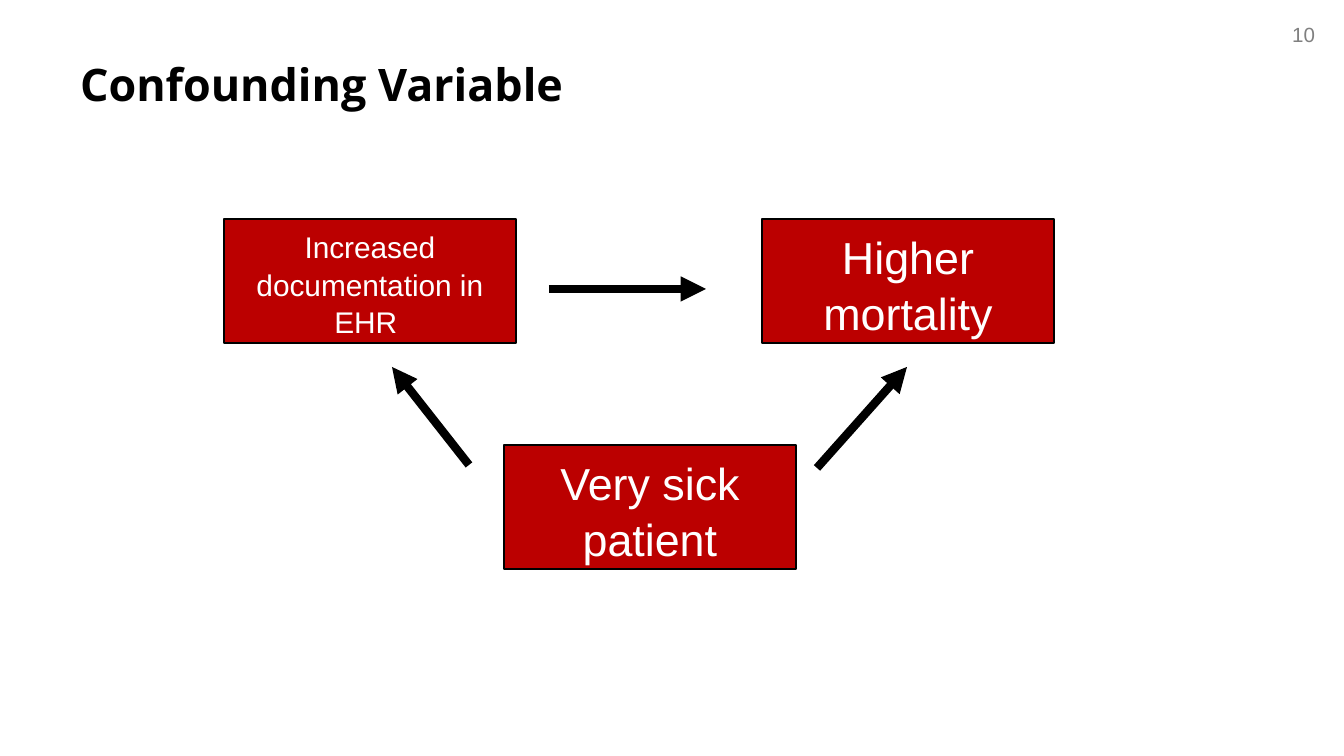
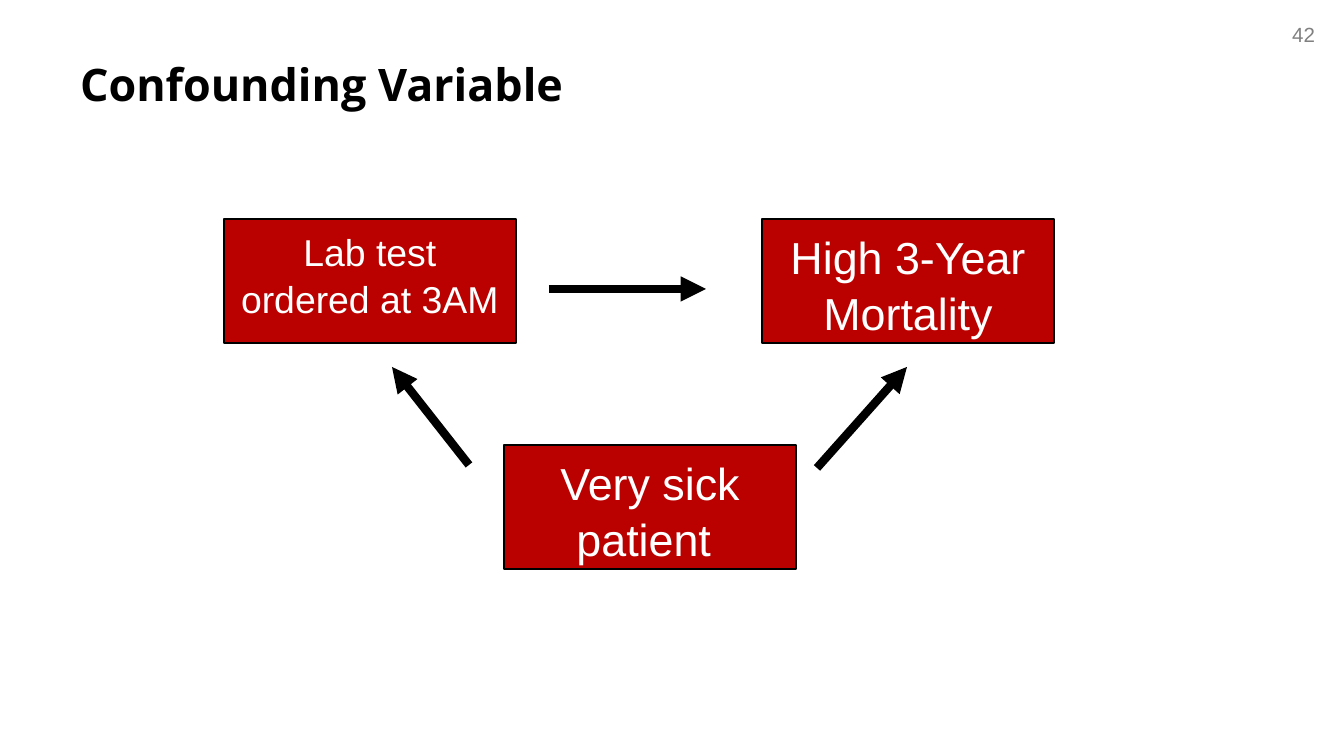
from lxml import etree
from pptx import Presentation
from pptx.dml.color import RGBColor
from pptx.enum.shapes import MSO_CONNECTOR, MSO_SHAPE
from pptx.enum.text import MSO_ANCHOR, MSO_AUTO_SIZE, PP_ALIGN
from pptx.oxml.ns import qn
from pptx.util import Pt

RECTANGLE, STRAIGHT = MSO_SHAPE.RECTANGLE, MSO_CONNECTOR.STRAIGHT
LEFT, CENTER, RIGHT = PP_ALIGN.LEFT, PP_ALIGN.CENTER, PP_ALIGN.RIGHT
TOP, NO_FIT = MSO_ANCHOR.TOP, MSO_AUTO_SIZE.NONE

# Content: each box holds its wording and text size
SLIDES = [
    {"number": "10", "title": "Confounding Variable",
     "exposure": ("Increased documentation in EHR ", 16),
     "outcome": ("Higher mortality", 24),
     "confounder": ("Very sick patient", 24)},
    {"number": "42", "title": "Confounding Variable",
     "exposure": ("Lab test ordered at 3AM", 20),
     "outcome": ("High 3-Year Mortality", 24),
     "confounder": ("Very sick patient ", 24)},
]

# Shared look
RED = RGBColor(0xBB, 0x00, 0x00)
BLACK = RGBColor(0x00, 0x00, 0x00)
WHITE = RGBColor(0xFF, 0xFF, 0xFF)
GREY = RGBColor(0x80, 0x80, 0x80)
TITLE_FONT = {"name": "Open Sans", "size": Pt(24), "bold": True}
NUMBER_FONT = {"name": "Arial", "size": Pt(11)}

# Geometry in px
PX_PER_INCH = 134.4
SLIDE_SIZE = (1344, 756)
TITLE_AREA = (67, 54, 1210, 90)
NUMBER_AREA = (1254, 15, 74, 39)
BOX_SIZE = (292, 124)
BOX_CORNERS = {"exposure": (224, 219), "outcome": (762, 219),
               "confounder": (504, 445)}
EFFECT_ARROW = (549, 289, 706, 289)
CAUSE_ARROWS = [(817, 468, 907, 367), (469, 465, 392, 367)]
SIDE_INSET = 13


def px(*lengths):
    return [round(length * 914400 / PX_PER_INCH) for length in lengths]


def write(shape, text, font, color, align, top_inset, spacing=1.0):
    frame = shape.text_frame
    side, top = px(SIDE_INSET, top_inset)
    layout = {"word_wrap": True, "auto_size": NO_FIT, "vertical_anchor": TOP,
              "margin_left": side, "margin_right": side,
              "margin_top": top, "margin_bottom": top}
    for key, value in layout.items():
        setattr(frame, key, value)
    paragraph = frame.paragraphs[0]
    paragraph.alignment = align
    paragraph.line_spacing = spacing
    run = paragraph.add_run()
    run.text = text
    for key, value in font.items():
        setattr(run.font, key, value)
    run.font.color.rgb = color


def add_box(shapes, role, content):
    text, size = content[role]
    box = shapes.add_shape(RECTANGLE, *px(*BOX_CORNERS[role], *BOX_SIZE))
    box.shadow.inherit = False
    box.fill.solid()
    box.fill.fore_color.rgb = RED
    box.line.color.rgb = BLACK
    box.line.width = Pt(0.75)
    write(box, text, {"name": "Arial", "size": Pt(size)}, WHITE, CENTER, 8, 1.05)


def add_arrow(shapes, ends):
    arrow = shapes.add_connector(STRAIGHT, *px(*ends))
    arrow.line.color.rgb = BLACK
    arrow.line.width = Pt(4.5)
    properties = arrow.line._get_or_add_ln()
    etree.SubElement(properties, qn("a:tailEnd"), type="triangle")
    etree.SubElement(properties.getparent(), qn("a:effectLst"))


def build_slide(deck, content):
    slide = deck.slides.add_slide(deck.slide_layouts[5])
    shapes = slide.shapes

    # Title and page number
    title = shapes.title
    title.left, title.top, title.width, title.height = px(*TITLE_AREA)
    write(title, content["title"], TITLE_FONT, BLACK, LEFT, 3)
    number = shapes.add_textbox(*px(*NUMBER_AREA))
    write(number, content["number"], NUMBER_FONT, GREY, RIGHT, 7)

    # Apparent effect
    add_box(shapes, "exposure", content)
    add_box(shapes, "outcome", content)
    add_arrow(shapes, EFFECT_ARROW)

    # Confounder with its arrows to both boxes
    cause = shapes.add_group_shape().shapes
    add_box(cause, "confounder", content)
    for ends in CAUSE_ARROWS:
        add_arrow(cause, ends)


def main():
    deck = Presentation()
    deck.slide_width, deck.slide_height = px(*SLIDE_SIZE)
    for content in SLIDES:
        build_slide(deck, content)
    deck.save("out.pptx")


if __name__ == "__main__":
    main()
